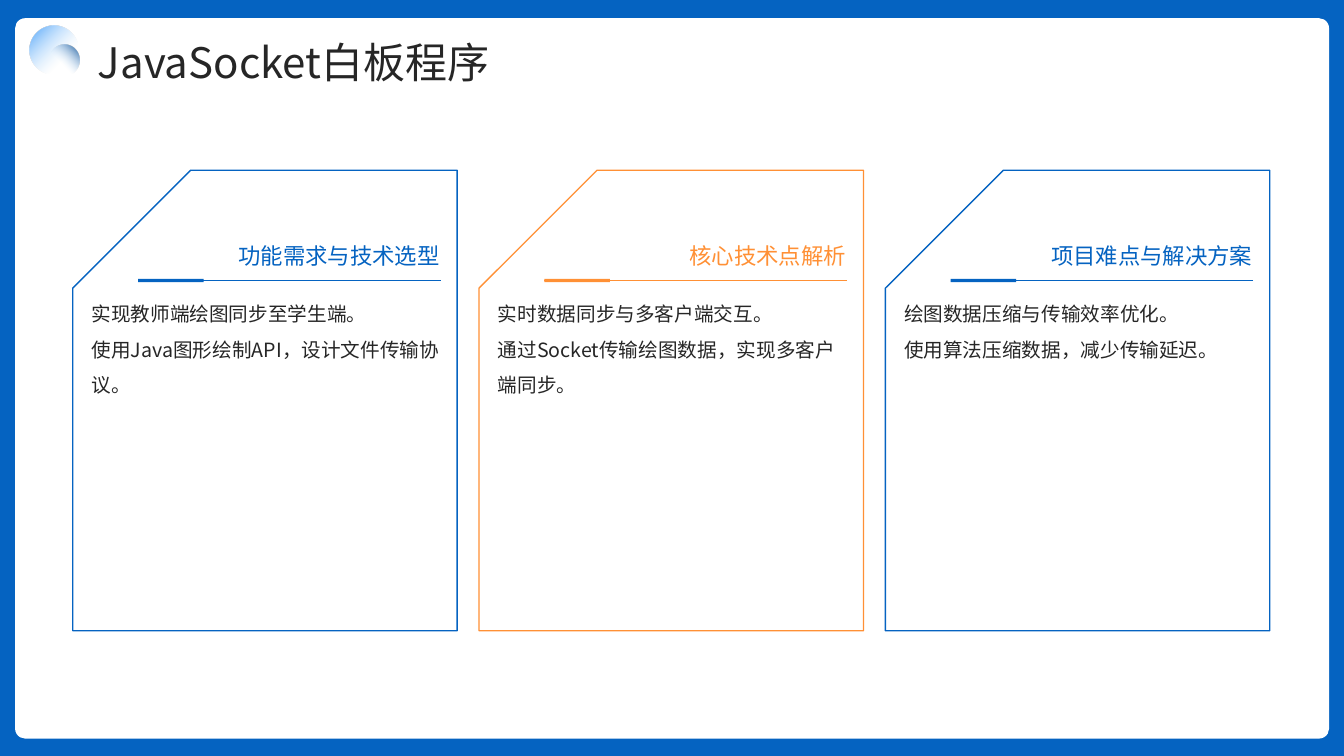
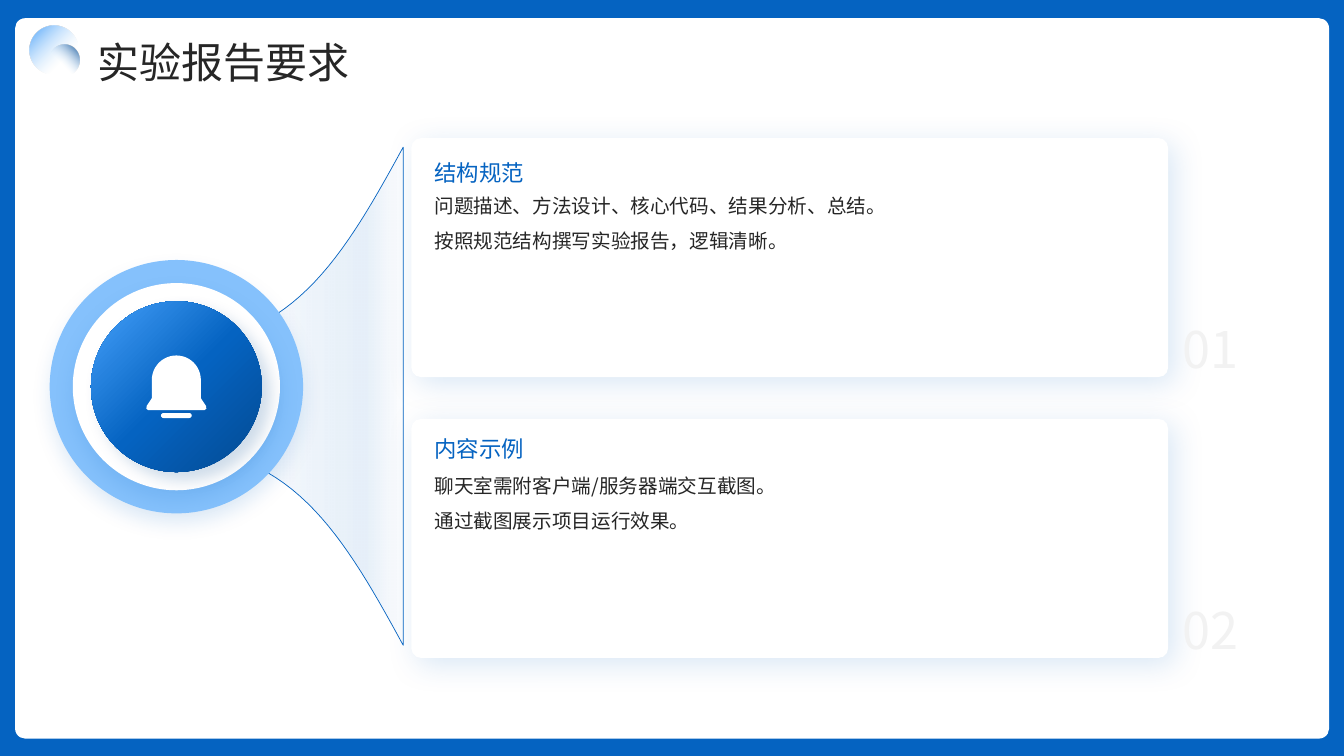
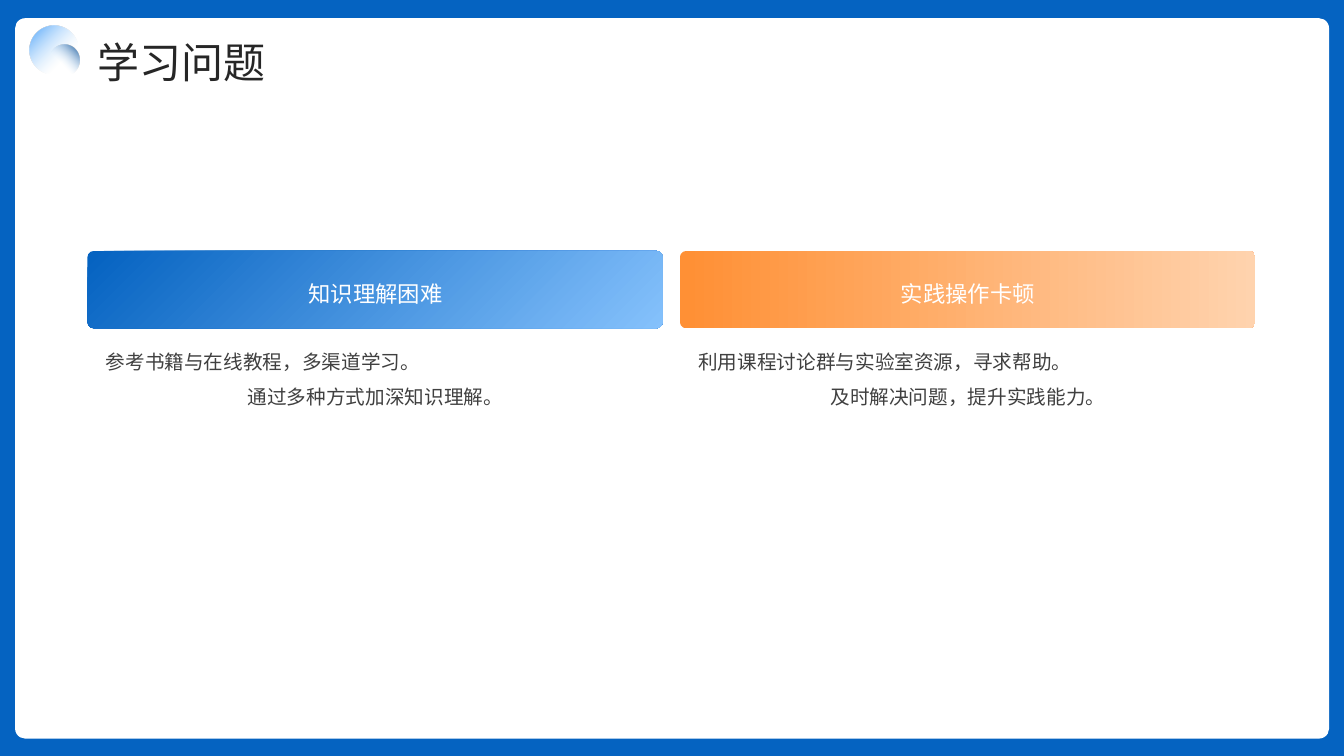
import math
import lxml.etree
import pptx
import pptx.util
import pptx.dml.color
import pptx.enum.shapes
import pptx.enum.text
import pptx.oxml
import pptx.oxml.ns

Pt = pptx.util.Pt
SHAPE = pptx.enum.shapes.MSO_SHAPE
ALIGN = pptx.enum.text.PP_ALIGN
ANCHOR = pptx.enum.text.MSO_ANCHOR
rgb = pptx.dml.color.RGBColor.from_string
qn = pptx.oxml.ns.qn
NAMESPACE = pptx.oxml.ns.nsdecls("a")

FONT = "Noto Sans CJK SC"
BLUE, ORANGE, WHITE, DARK, GREY = "0563C1", "FF9035", "FFFFFF", "262626", "404040"
SKY, PALE, NAVY = "85C1FC", "C2E0FD", "044A91"


def paint(shape, fill, line=None, width=1, shadow=None):
    shape.shadow.inherit = False
    if isinstance(fill, str):
        shape.fill.solid()
        shape.fill.fore_color.rgb = rgb(fill)
    else:
        stops, direction = fill
        stop_xml = "".join(
            f'<a:gs pos="{position * 1000}"><a:srgbClr val="{color}">'
            f'<a:alpha val="{alpha * 1000}"/></a:srgbClr></a:gs>'
            for position, color, alpha in stops)
        if isinstance(direction, int):
            shade = f'<a:lin ang="{direction * 60000}" scaled="0"/>'
        else:
            left, top, right, bottom = [side * 1000 for side in direction]
            shade = (f'<a:path path="circle"><a:fillToRect l="{left}" t="{top}" '
                     f'r="{right}" b="{bottom}"/></a:path>')
        shape.fill.gradient()
        old = shape.element.spPr.find(qn("a:gradFill"))
        old.getparent().replace(old, pptx.oxml.parse_xml(
            f'<a:gradFill {NAMESPACE} rotWithShape="1"><a:gsLst>{stop_xml}</a:gsLst>{shade}</a:gradFill>'))
    if line:
        shape.line.color.rgb = rgb(line)
        shape.line.width = Pt(width)
    else:
        shape.line.fill.background()
    if shadow:
        color, alpha, blur, distance, angle = shadow
        shape.element.spPr.find(qn("a:effectLst")).append(pptx.oxml.parse_xml(
            f'<a:outerShdw {NAMESPACE} blurRad="{Pt(blur)}" dist="{Pt(distance)}" '
            f'dir="{angle * 60000}" algn="ctr" rotWithShape="0"><a:srgbClr val="{color}">'
            f'<a:alpha val="{alpha * 1000}"/></a:srgbClr></a:outerShdw>'))


def write(page, place, lines, size, color, spacing, align=ALIGN.LEFT, anchor=ANCHOR.TOP):
    box = page.shapes.add_textbox(*map(Pt, place))
    frame = box.text_frame
    frame.word_wrap = True
    frame.vertical_anchor = anchor
    frame.margin_left = frame.margin_right = frame.margin_top = frame.margin_bottom = 0
    frame.text = "\n".join(lines)
    for para in frame.paragraphs:
        for span in para.runs:
            span.font.size = Pt(size)
            span.font.name = FONT
            span.font.color.rgb = rgb(color)
            east_asian = lxml.etree.SubElement(span.font._element, qn("a:ea"))
            east_asian.set("typeface", FONT)
    last = frame.paragraphs[-1]
    last.alignment = align
    last.line_spacing = spacing


deck = pptx.Presentation()
deck.slide_width, deck.slide_height = Pt(960), Pt(540)

pages = []
for title in ["JavaSocket白板程序", "实验报告要求", "学习问题"]:
    page = deck.slides.add_slide(deck.slide_layouts[6])
    border = page.shapes.add_shape(SHAPE.RECTANGLE, 0, 0, Pt(960), Pt(540))
    paint(border, BLUE)
    panel = page.shapes.add_shape(SHAPE.ROUNDED_RECTANGLE, Pt(10.8), Pt(13), Pt(938.6), Pt(514.6))
    panel.adjustments[0] = 0.014
    paint(panel, WHITE)
    write(page, (70, 15.1, 822, 43.2), [title], 30, DARK, 1.3)
    large = page.shapes.add_shape(SHAPE.OVAL, Pt(21.4), Pt(18.7), Pt(34.8), Pt(34.8))
    paint(large, ([(31, PALE, 0), (100, "49A1FA", 100)], (100, 100, 0, 0)))
    small = page.shapes.add_shape(SHAPE.OVAL, Pt(35.4), Pt(32.2), Pt(21.6), Pt(21.6))
    paint(small, ([(40, PALE, 0), (100, NAVY, 100)], (0, 100, 100, 0)))
    pages.append(page)
whiteboard, report, questions = pages

topics = [
    ("功能需求与技术选型", BLUE,
     ["实现教师端绘图同步至学生端。", "使用Java图形绘制API，设计文件传输协议。"]),
    ("核心技术点解析", ORANGE,
     ["实时数据同步与多客户端交互。", "通过Socket传输绘图数据，实现多客户端同步。"]),
    ("项目难点与解决方案", BLUE,
     ["绘图数据压缩与传输效率优化。", "使用算法压缩数据，减少传输延迟。"]),
]
for index, (heading, color, lines) in enumerate(topics):
    left = 52 + 290.2 * index
    card = whiteboard.shapes.add_shape(SHAPE.SNIP_1_RECTANGLE, Pt(left), Pt(121.6), Pt(274.6), Pt(329))
    card.adjustments[0] = 0.307
    card.element.spPr.xfrm.set("flipH", "1")
    paint(card, WHITE, color)
    write(whiteboard, (left + 13.4, 216, 249.2, 197), lines, 14, DARK, 1.5)
    write(whiteboard, (left + 65.5, 138.2, 196.6, 54), [heading], 16, color, 1.3, ALIGN.RIGHT, ANCHOR.BOTTOM)
    accent = whiteboard.shapes.add_shape(SHAPE.RECTANGLE, Pt(left + 46.6), Pt(199.2), Pt(46.8), Pt(2.4))
    paint(accent, color)
    rule = whiteboard.shapes.add_connector(
        pptx.enum.shapes.MSO_CONNECTOR.STRAIGHT, Pt(left + 262.8), Pt(200.4), Pt(left + 46.6), Pt(200.4))
    rule.end_connect(accent, 1)
    rule.line.color.rgb = rgb(color)
    rule.line.width = Pt(1)
    lxml.etree.SubElement(rule.element.spPr, qn("a:effectLst"))

middle = 283
controls = [(288, 105.1), (252.7, 169.9), (221.8, 222.5), (164.9, 239.8)]
upper = []
for step in range(25):
    t = step / 24
    weights = [(1 - t) ** 3, 3 * t * (1 - t) ** 2, 3 * t * t * (1 - t), t ** 3]
    upper.append(tuple(sum(weight * point[axis] for weight, point in zip(weights, controls)) for axis in (0, 1)))
upper.append((154.8, 241.9))
flare_points = upper + [(x, 2 * middle - y) for x, y in reversed(upper)]

dome = [(126 - 17.5 * math.cos(math.pi * step / 24), 271.4 - 17.5 * math.sin(math.pi * step / 24))
        for step in range(25)]
bell_points = dome + [(143.5, 284.4), (147.2, 290), (147.4, 292), (146, 293),
                      (106, 293), (104.6, 292), (104.8, 290), (108.5, 284.4)]

outlines = []
for points in (flare_points, bell_points):
    builder = report.shapes.build_freeform(Pt(points[0][0]), Pt(points[0][1]), scale=1.0)
    builder.add_line_segments([(Pt(x), Pt(y)) for x, y in points[1:]], close=True)
    outlines.append(builder.convert_to_shape())
flare, bell = outlines
paint(flare, ([(0, BLUE, 0), (79, BLUE, 10), (100, BLUE, 0)][::1], 0), BLUE, 0.5)
paint(bell, WHITE)

core = ([(1, "45A0FA", 100), (51, BLUE, 100), (100, NAVY, 100)], (0, 0, 100, 100))
soft = (BLUE, 12, 14, 7, 90)
for diameter, fill, shadow in [(181, SKY, soft), (148, WHITE, soft), (122, core, (NAVY, 18, 11, 8, 45))]:
    disc = report.shapes.add_shape(
        SHAPE.OVAL, Pt(126 - diameter / 2), Pt(276.2 - diameter / 2), Pt(diameter), Pt(diameter))
    paint(disc, fill, shadow=shadow)
report.shapes._spTree.append(bell.element)
clapper = report.shapes.add_shape(SHAPE.ROUNDED_RECTANGLE, Pt(115), Pt(295), Pt(22), Pt(3.6))
clapper.adjustments[0] = 0.5
paint(clapper, WHITE)

sections = [
    ("01", "结构规范", 98.6, 105.1, 138.2,
     ["问题描述、方法设计、核心代码、结果分析、总结。", "按照规范结构撰写实验报告，逻辑清晰。"]),
    ("02", "内容示例", 299.2, 302.4, 338.4,
     ["聊天室需附客户端/服务器端交互截图。", "通过截图展示项目运行效果。"]),
]
for number, heading, top, heading_top, text_top, lines in sections:
    card = report.shapes.add_shape(SHAPE.ROUNDED_RECTANGLE, Pt(293.8), Pt(top), Pt(540.6), Pt(170.8))
    card.adjustments[0] = 0.041
    paint(card, WHITE, shadow=(BLUE, 15, 22, 6, 45))
    write(report, (310.3, text_top, 508.3, 120), lines, 14, DARK, 1.5)
    write(report, (310.3, heading_top, 508.3, 30.2), [heading], 16, BLUE, 1.3, anchor=ANCHOR.MIDDLE)
    write(report, (845, top + 125, 50, 50), [number], 36, "F2F2F2", 1.0, anchor=ANCHOR.MIDDLE)

problems = [
    ("知识理解困难", ([(1, BLUE, 100), (100, SKY, 100)], 45),
     ["参考书籍与在线教程，多渠道学习。", "通过多种方式加深知识理解。"]),
    ("实践操作卡顿", ([(1, ORANGE, 100), (100, "FFD3AE", 100)], 0),
     ["利用课程讨论群与实验室资源，寻求帮助。", "及时解决问题，提升实践能力。"]),
]
for index, (heading, fill, lines) in enumerate(problems):
    left = 62.4 + 423.2 * index
    banner = questions.shapes.add_shape(SHAPE.ROUNDED_RECTANGLE, Pt(left), Pt(179.2), Pt(411), Pt(55.4))
    banner.adjustments[0] = 0.086
    paint(banner, fill)
    write(questions, (left + 13.2, 250, 385.2, 142.6), lines, 14, GREY, 1.5, ALIGN.CENTER)
    write(questions, (left + 13.2, 182.2, 385.2, 49.6), [heading], 16, WHITE, 1.3, ALIGN.CENTER, ANCHOR.MIDDLE)

deck.save("out.pptx")
